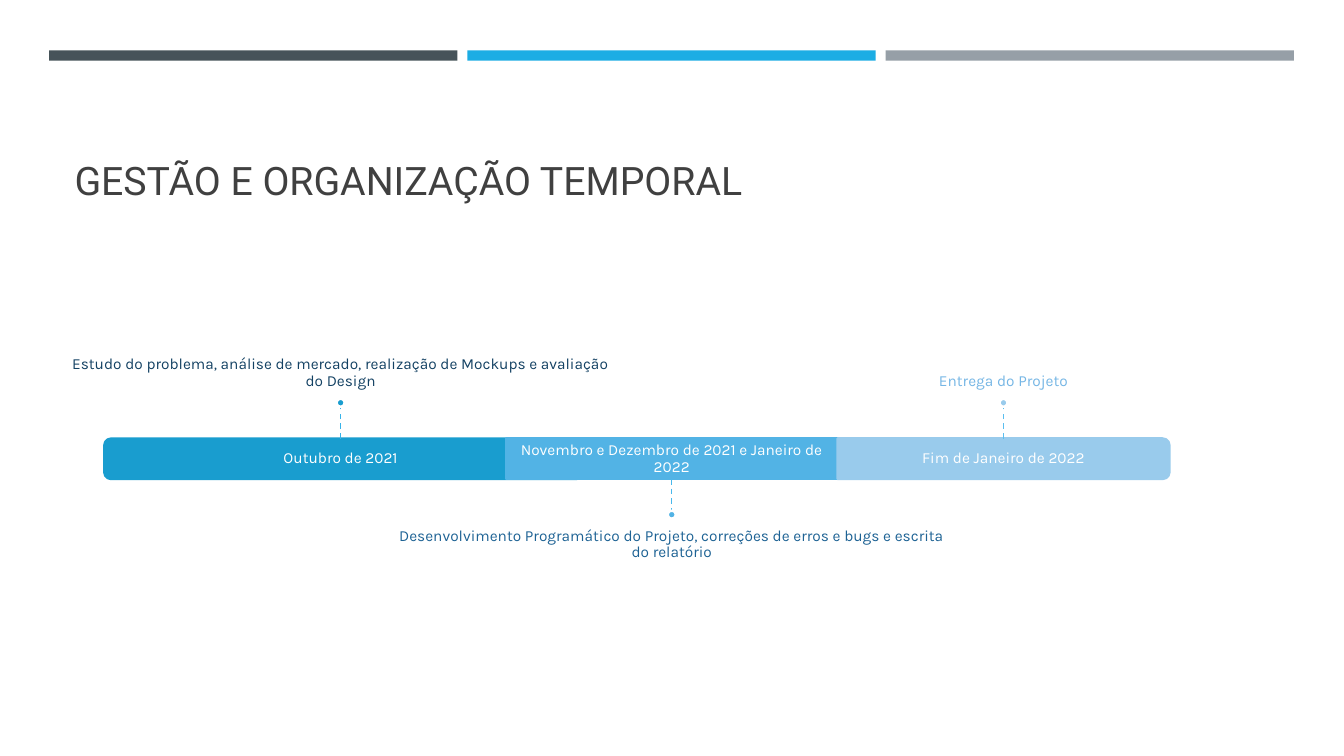
from dataclasses import dataclass

from lxml.etree import SubElement
from pptx import Presentation
from pptx.dml.color import RGBColor
from pptx.enum.dml import MSO_LINE
from pptx.enum.shapes import MSO_CONNECTOR, MSO_SHAPE
from pptx.enum.text import MSO_ANCHOR, MSO_AUTO_SIZE, PP_ALIGN
from pptx.oxml.ns import qn
from pptx.util import Cm, Pt

HEADING = "GESTÃO E ORGANIZAÇÃO TEMPORAL"
PHASES = [
    {"period": "Outubro de 2021",
     "task": "Estudo do problema, análise de mercado, realização de Mockups e avaliação do Design",
     "left": 2.63, "width": 11.91, "rotation": 270, "above": True},
    {"period": "Novembro e Dezembro de 2021 e Janeiro de 2022",
     "task": "Desenvolvimento Programático do Projeto, correções de erros e bugs e escrita do relatório",
     "left": 12.75, "width": 8.36, "rotation": 0, "above": False},
    {"period": "Fim de Janeiro de 2022",
     "task": "Entrega do Projeto",
     "left": 21.11, "width": 8.36, "rotation": 90, "above": True},
]


@dataclass(frozen=True)
class Theme:
    heading_font: str = "Roboto"
    body_font: str = "Karla"
    heading_size: int = 28
    body_size: int = 11
    outline: float = 1.75
    stem_line: float = 1
    heading: str = "404040"
    white: str = "FFFFFF"
    stripes: tuple = ("465359", "1CADE4", "969FA7")
    bars: tuple = ("199DCF", "52B3E5", "99CBEC")
    tasks: tuple = ("134163", "1D6294", "75B6E5")
    stems: tuple = ("36B3E9", "48B8EC", "5ABEEF")


THEME = Theme()
STRIPE_LEFT, STRIPE_TOP, STRIPE_WIDTH, STRIPE_HEIGHT, STRIPE_STEP = 1.24, 1.27, 10.29, 0.26, 10.54
BAR_TOP, BAR_HEIGHT = 11.05, 1.02
STEM, DOT = 0.8, 0.2
TASK_WIDTH, TASK_HEIGHT = 13.92, 3.53
INSET = 0.23


def write_text(frame, text, *, font=THEME.body_font, size=THEME.body_size, color=THEME.white,
               align=PP_ALIGN.CENTER, anchor=MSO_ANCHOR.MIDDLE, spacing=0.9,
               insets=(INSET, INSET, INSET, INSET)):
    frame.word_wrap = True
    frame.auto_size = MSO_AUTO_SIZE.NONE
    frame.vertical_anchor = anchor
    frame.margin_left, frame.margin_top, frame.margin_right, frame.margin_bottom = map(Cm, insets)
    paragraph = frame.paragraphs[0]
    paragraph.alignment = align
    paragraph.line_spacing = spacing
    run = paragraph.add_run()
    run.text = text
    run.font.name = font
    run.font.size = Pt(size)
    run.font.color.rgb = RGBColor.from_string(color)


def add_block(slide, kind, left, top, width, height, fill, outline=None):
    block = slide.shapes.add_shape(kind, Cm(left), Cm(top), Cm(width), Cm(height))
    block.shadow.inherit = False
    block.fill.solid()
    block.fill.fore_color.rgb = RGBColor.from_string(fill)
    if outline:
        block.line.color.rgb = RGBColor.from_string(outline)
        block.line.width = Pt(THEME.outline)
    else:
        block.line.fill.background()
    return block


def add_bar(slide, phase, color):
    left, width = phase["left"], phase["width"]
    if not phase["rotation"]:
        return add_block(slide, MSO_SHAPE.RECTANGLE, left, BAR_TOP, width, BAR_HEIGHT, color, color)
    shift = (width - BAR_HEIGHT) / 2
    bar = add_block(slide, MSO_SHAPE.ROUND_2_SAME_RECTANGLE, left + shift, BAR_TOP - shift,
                    BAR_HEIGHT, width, color, color)
    bar.rotation = phase["rotation"]
    return bar


def add_stem(slide, center, start, end, color):
    stem = slide.shapes.add_connector(MSO_CONNECTOR.STRAIGHT, Cm(center), Cm(start), Cm(center), Cm(end))
    stem.line.color.rgb = RGBColor.from_string(color)
    stem.line.width = Pt(THEME.stem_line)
    stem.line.dash_style = MSO_LINE.DASH
    SubElement(stem._element.spPr, qn("a:effectLst"))
    return stem


def add_phase(slide, phase, bar_color, task_color, stem_color):
    bar = add_bar(slide, phase, bar_color)
    period = slide.shapes.add_textbox(Cm(phase["left"]), Cm(BAR_TOP), Cm(phase["width"]), Cm(BAR_HEIGHT))
    write_text(period.text_frame, phase["period"])

    center = phase["left"] + phase["width"] / 2
    if phase["above"]:
        edge = BAR_TOP
        tip = edge - STEM
        dot_top = tip - DOT
        task_top = dot_top - TASK_HEIGHT
        anchor, insets = MSO_ANCHOR.BOTTOM, (0, 0, 0, INSET)
    else:
        edge = BAR_TOP + BAR_HEIGHT
        tip = dot_top = edge + STEM
        task_top = dot_top + DOT
        anchor, insets = MSO_ANCHOR.TOP, (0, INSET, 0, 0)

    task = slide.shapes.add_textbox(Cm(center - TASK_WIDTH / 2), Cm(task_top), Cm(TASK_WIDTH), Cm(TASK_HEIGHT))
    write_text(task.text_frame, phase["task"], color=task_color, anchor=anchor, insets=insets)
    stem = add_stem(slide, center, edge, tip, stem_color)
    if not phase["rotation"]:
        stem.begin_connect(bar, 0 if phase["above"] else 2)
    add_block(slide, MSO_SHAPE.OVAL, center - DOT / 2, dot_top, DOT, DOT, bar_color, THEME.white)


def main():
    deck = Presentation()
    deck.slide_width, deck.slide_height = Cm(33.87), Cm(19.05)
    slide = deck.slides.add_slide(deck.slide_layouts[5])

    for index, color in enumerate(THEME.stripes):
        add_block(slide, MSO_SHAPE.RECTANGLE, STRIPE_LEFT + index * STRIPE_STEP, STRIPE_TOP,
                  STRIPE_WIDTH, STRIPE_HEIGHT, color)

    heading = slide.shapes.title
    heading.left, heading.top, heading.width, heading.height = Cm(1.63), Cm(1.96), Cm(30.63), Cm(3.3)
    write_text(heading.text_frame, HEADING, font=THEME.heading_font, size=THEME.heading_size,
               color=THEME.heading, align=PP_ALIGN.LEFT, anchor=MSO_ANCHOR.BOTTOM,
               insets=(0.25, 0.13, 0.25, 0.13))

    for phase, *colors in zip(PHASES, THEME.bars, THEME.tasks, THEME.stems):
        add_phase(slide, phase, *colors)

    deck.save("out.pptx")


if __name__ == "__main__":
    main()
